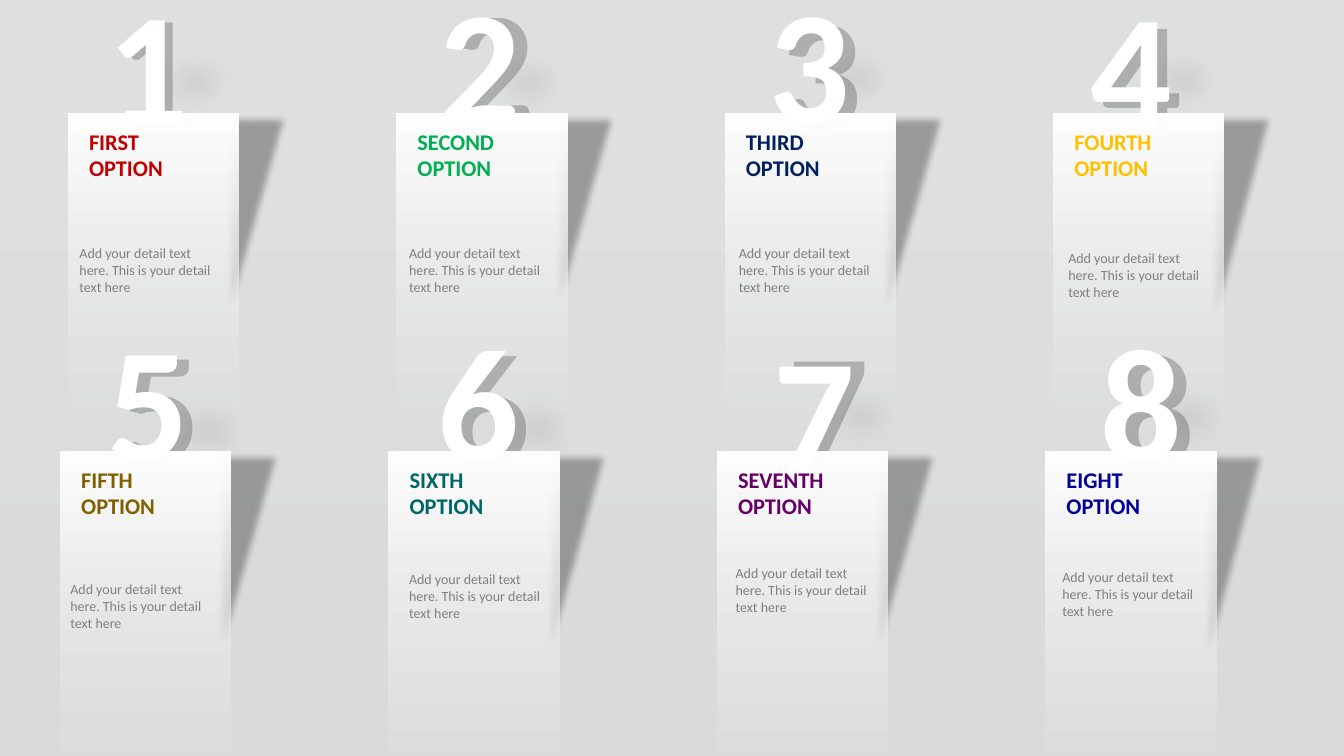
from lxml.etree import SubElement
from pptx import Presentation as Deck
from pptx.dml.color import RGBColor as RGB
from pptx.enum.shapes import MSO_SHAPE as Kind
from pptx.enum.text import MSO_AUTO_SIZE as Fit, PP_ALIGN as Align
from pptx.oxml.ns import qn
from pptx.util import Pt

LEFTS, TOPS = (48.8, 43.2), (81.2, 322.6)
STEP = 234.6
CARD = (121.7, 241.9)
DIGIT = (100.8, 146.9)
BLUR = (100.8, 83.5)
LABEL = (113.8, 46.1)
NOTE = (113.8, 43.9)
DETAIL = "Add your detail text here. This is your detail text here"

CARDS = [
    ("FIRST", "C00000", (61.2, -27.4), (55.4, -28.8), (89.3, 16.6), (49.7, 171.4), 175),
    ("SECOND", "00B050", (302.4, -30.2), (293, -30.2), (327.6, 17.3), (285.1, 171.4), 172),
    ("THIRD", "002060", (536.4, -25.2), (527.8, -30.2), (560.9, 14.4), (520.6, 171.4), 175),
    ("FOURTH", "FFC000", (764.6, -23), (757.4, -27.4), (794.9, 15.8), (756, 175), 183),
    ("FIFTH", "806000", (64.1, 213.1), (55.4, 210.2), (98.6, 265.7), (43.2, 411.1), 175),
    ("SIXTH", "006666", (298.8, 214.6), (291.6, 211), (333.4, 263.5), (285.1, 403.9), 175),
    ("SEVENTH", "660066", (541.4, 214.6), (531.4, 218.2), (565.2, 255.6), (518.4, 399.6), 175),
    ("EIGHT", "000099", (774, 214.6), (764.6, 211), (799.9, 256.3), (751.7, 402.5), 183),
]


def paint(color, code, alpha=100):
    color.rgb = RGB.from_string(code)
    if alpha < 100:
        node = color._xFill if hasattr(color, "_xFill") else color._color._xClr
        clr = node if node.tag == qn("a:srgbClr") else node.find(qn("a:srgbClr"))
        SubElement(clr, qn("a:alpha"), val=str(alpha * 1000))


class Board:
    font = "Calibri"

    def __init__(self, deck):
        self.slide = deck.slides.add_slide(deck.slide_layouts[6])

    def blend(self, fill, angle, stops):
        fill.gradient()
        fill.gradient_angle = angle
        for stop, (code, alpha) in zip(fill.gradient_stops, stops):
            paint(stop.color, code, alpha)

    def text(self, spot, size, lines, code, points, bold=False, align=None, alpha=100):
        box = self.slide.shapes.add_textbox(*map(Pt, spot + size))
        frame = box.text_frame
        frame.word_wrap = True
        frame.auto_size = Fit.SHAPE_TO_FIT_TEXT
        frame.text = "\n".join(lines)
        style = {"name": self.font, "size": Pt(points), "bold": bold}
        for para in frame.paragraphs:
            para.alignment = align
            font = para.runs[0].font
            for key, value in style.items():
                setattr(font, key, value)
            paint(font.color, code, alpha)

    def shape(self, kind, spot, size):
        item = self.slide.shapes.add_shape(kind, *map(Pt, spot + size))
        item.shadow.inherit = False
        item.line.fill.background()
        return item

    def shade(self, kind, spot, size, alpha, soft):
        item = self.shape(kind, spot, size)
        item.fill.solid()
        paint(item.fill.fore_color, "000000", alpha)
        effects = item._element.spPr.find(qn("a:effectLst"))
        SubElement(effects, qn("a:softEdge"), rad=str(Pt(soft)))
        return item

    def wedge(self, spot, size):
        item = self.shade(Kind.RIGHT_TRIANGLE, spot, size, 31, 5)
        item._element.spPr.find(qn("a:xfrm")).set("flipV", "1")

    def panel(self, spot, alpha):
        item = self.shape(Kind.RECTANGLE, spot, CARD)
        self.blend(item.fill, 90, [("DDDDDD", alpha), ("FFFFFF", 100)])

    def digit(self, spot, num, code, alpha=100):
        self.text(spot, DIGIT, [str(num)], code, 115, True, Align.CENTER, alpha)


def main():
    deck = Deck()
    deck.slide_width, deck.slide_height = Pt(960), Pt(540)
    board = Board(deck)
    board.blend(board.slide.background.fill, 270, [("DEDFDF", 100), ("DADADA", 100)])
    for i, (name, code, ghost, front, blur, note, drop) in enumerate(CARDS):
        row, col = divmod(i, 4)
        left, top = LEFTS[row] + col * STEP, TOPS[row]
        board.digit(ghost, i + 1, "000000", 22)
        board.shade(Kind.RECTANGLE, blur, BLUR, 17, 25)
        board.wedge((left + 111.6, top), (49, drop))
        board.panel((left, top), 32 if name == "FIFTH" else 40)
        board.digit(front, i + 1, "FFFFFF")
        board.text((left + 7.7, top + 6.5), LABEL, [name, "OPTION"], code, 16, True)
        board.text(note, NOTE, [DETAIL], "808080", 10)
    deck.save("out.pptx")


if __name__ == "__main__":
    main()
